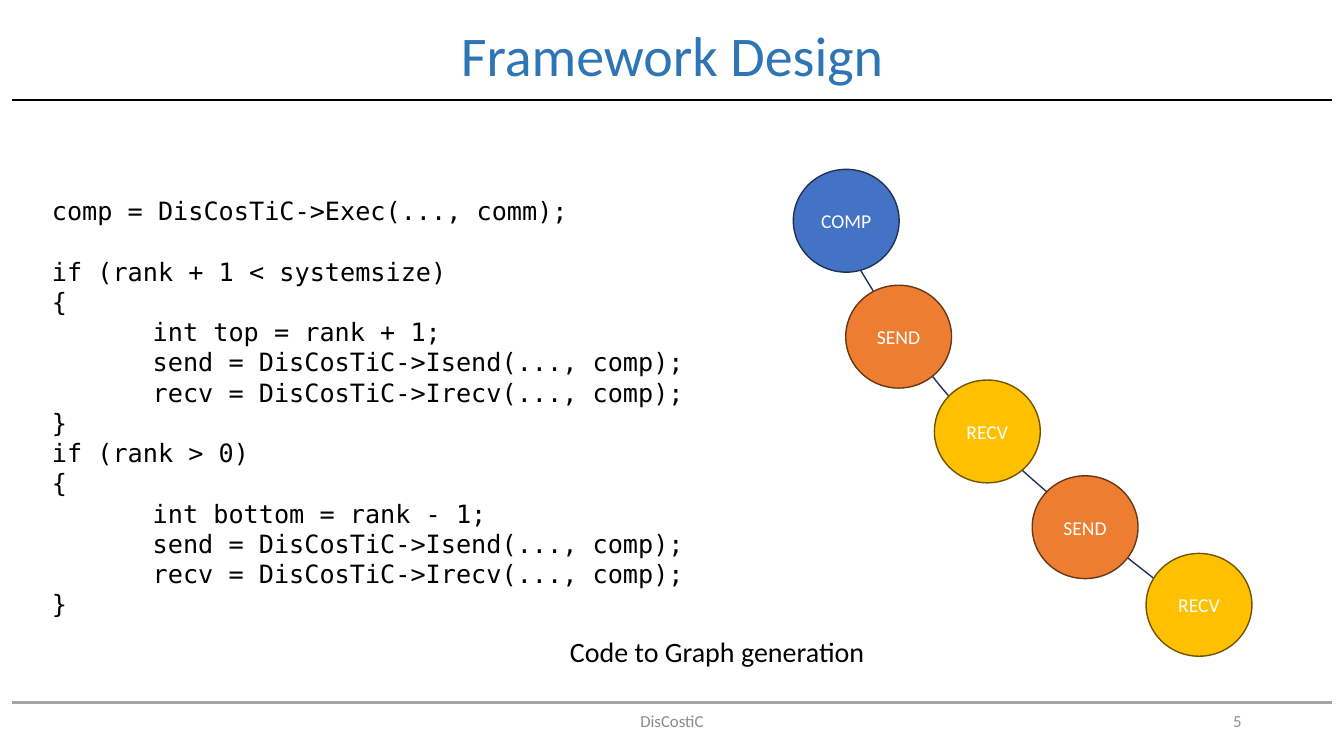
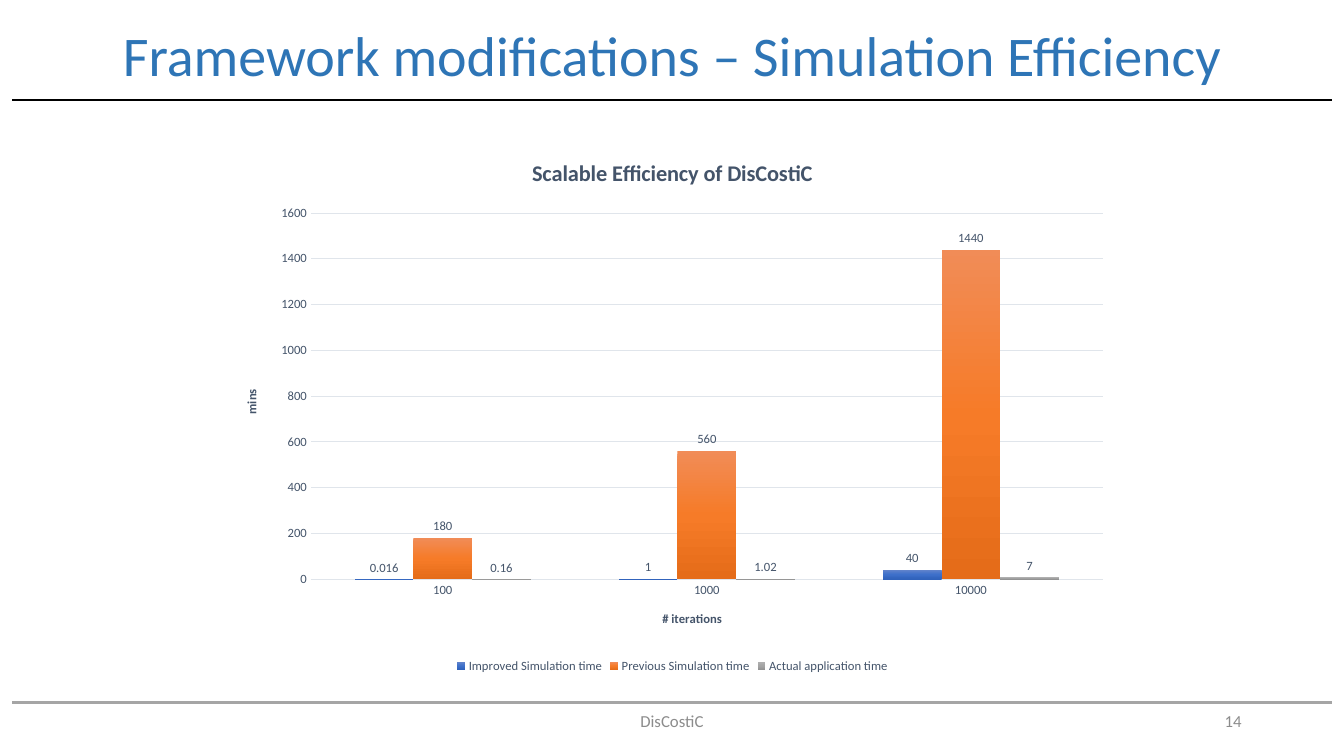
from dataclasses import dataclass
from typing import Any, NamedTuple

from lxml.etree import SubElement
from pptx import Presentation
from pptx.chart.data import CategoryChartData
from pptx.dml.color import RGBColor
from pptx.enum.chart import XL_CHART_TYPE, XL_LABEL_POSITION, XL_LEGEND_POSITION, XL_TICK_MARK
from pptx.enum.shapes import MSO_CONNECTOR, MSO_SHAPE
from pptx.enum.text import MSO_ANCHOR, MSO_AUTO_SIZE, PP_ALIGN
from pptx.oxml import parse_xml
from pptx.oxml.ns import nsdecls, qn
from pptx.util import Inches, Pt


@dataclass(frozen=True)
class Theme:
    sans: str = "Calibri"
    mono: str = "DejaVu Sans Mono"
    blue: str = "2E75B6"
    black: str = "000000"
    white: str = "FFFFFF"
    gray: str = "8C8C8C"
    rule: str = "A5A5A5"
    slate: str = "44546A"
    grid: str = "E0E5EB"
    navy: str = "1E3256"
    head: float = 40
    text: float = 20
    code: float = 18
    lead: float = 21.6
    chart: float = 16
    node: float = 14
    foot: float = 12
    tick: float = 9


class Box(NamedTuple):
    col: float
    row: float
    cols: float
    rows: float

    def emu(self) -> list[int]:
        return [unit(v) for v in self]


class Kind(NamedTuple):
    name: str
    fill: str
    edge: str


class Node(NamedTuple):
    kind: Kind
    col: float
    row: float


class Bars(NamedTuple):
    name: str
    nums: tuple[float, ...]
    stops: tuple[str, str, str]


T = Theme()
COLS, ROWS = 160, 90
CELL = 1 / 12

HEAD = Box(0, 0, COLS, 13.8)
FOOT = Box(53, 83.4, 54, 4.8)
PAGE = Box(113, 83.4, 36, 4.8)
CODE = Box(5, 22.68, 83.64, 52.08)
NOTE = Box(43.56, 75.36, 83.64, 4.92)
CHART = Box(26.64, 16.44, 106.8, 64.2)
EDGE = 1.44
RULES = ((83.64, T.rule), (11.88, T.black))

COMP = Kind("COMP", "4472C4", T.navy)
SEND = Kind("SEND", "ED7D31", "683715")
RECV = Kind("RECV", "FFC000", "705400")
NODES = (
    Node(COMP, 94.44, 20.16),
    Node(SEND, 100.68, 33.96),
    Node(RECV, 111.24, 45.24),
    Node(SEND, 122.88, 56.64),
    Node(RECV, 136.44, 65.88),
)
WIDE, HIGH = 12.6, 12.24
CURVE = (
    ((99.84, 27.72), (104.04, 34.92), (108.24, 42.12), (114.96, 49.44)),
    ((114.96, 49.44), (121.68, 56.64), (130.92, 63.84), (140.16, 71.04)),
)
STEPS = 12

LINES = """comp = DisCosTiC->Exec(..., comm);

if (rank + 1 < systemsize)
{
\tint top = rank + 1;
\tsend = DisCosTiC->Isend(..., comp);
\trecv = DisCosTiC->Irecv(..., comp);
}
if (rank > 0)
{
\tint bottom = rank - 1;
\tsend = DisCosTiC->Isend(..., comp);
\trecv = DisCosTiC->Irecv(..., comp);
}"""

RUNS = ("100", "1000", "10000")
TIMES = (
    Bars("Improved Simulation time", (0.016, 1, 40), ("6183CB", "3E70CA", "3062BB")),
    Bars("Previous Simulation time", (180, 560, 1440), ("F18C57", "F67B28", "E56C19")),
    Bars("Actual application time", (0.16, 1.02, 7), ("AFAFAF", "A5A5A5", "939393")),
)
PLOT = {"x": 0.097, "y": 0.139, "w": 0.883, "h": 0.679}


def unit(cells: float) -> int:
    return Inches(cells * CELL)


def put(item: Any, vals: dict[str, Any]) -> None:
    for key, val in vals.items():
        setattr(item, key, val)


def ink(font: Any, size: float, tone: str, face: str = T.sans, bold: bool = False) -> None:
    put(font, {"size": Pt(size), "name": face, "bold": bold})
    font.color.rgb = RGBColor.from_string(tone)


def stroke(line: Any, tone: str, width: float) -> None:
    line.color.rgb = RGBColor.from_string(tone)
    line.width = Pt(width)


def write(shape: Any, text: str, size: float, tone: str,
          align: PP_ALIGN = PP_ALIGN.CENTER, space: float = 1.0) -> None:
    frame = shape.text_frame
    put(frame, {"word_wrap": True, "auto_size": MSO_AUTO_SIZE.NONE,
                "vertical_anchor": MSO_ANCHOR.MIDDLE})
    para = frame.paragraphs[0]
    put(para, {"text": text, "alignment": align, "line_spacing": space})
    ink(para.runs[0].font, size, tone)


def begin(deck: Any, title: str, page: int) -> Any:
    slide = deck.slides.add_slide(deck.slide_layouts[5])
    head = slide.shapes.title
    put(head, dict(zip(("left", "top", "width", "height"), HEAD.emu())))
    write(head, title, T.head, T.blue, space=0.9)
    for box, text, align in ((FOOT, "DisCostiC", PP_ALIGN.CENTER),
                             (PAGE, str(page), PP_ALIGN.RIGHT)):
        write(slide.shapes.add_textbox(*box.emu()), text, T.foot, T.gray, align)
    for row, tone in RULES:
        ends = [unit(v) for v in (EDGE, row, COLS - EDGE, row)]
        rule = slide.shapes.add_connector(MSO_CONNECTOR.STRAIGHT, *ends)
        stroke(rule.line, tone, 1.5)
        SubElement(rule._element.spPr, qn("a:effectLst"))
    return slide


def list_code(slide: Any) -> None:
    frame = slide.shapes.add_textbox(*CODE.emu()).text_frame
    frame.word_wrap = True
    fresh, gap = True, 0.0
    for text in LINES.split("\n"):
        if not text:
            gap = T.lead
            continue
        para = frame.paragraphs[0] if fresh else frame.add_paragraph()
        tabs = SubElement(para._p.get_or_add_pPr(), qn("a:tabLst"))
        SubElement(tabs, qn("a:tab"), pos=str(Inches(1)), algn="l")
        put(para, {"line_spacing": Pt(T.lead), "space_before": Pt(gap)})
        run = para.add_run()
        run.text = text
        ink(run.font, T.code, T.black, T.mono)
        fresh, gap = False, 0.0


def bend(ends: tuple, t: float) -> tuple[int, int]:
    mix = ((1 - t) ** 3, 3 * t * (1 - t) ** 2, 3 * t * t * (1 - t), t ** 3)
    col, row = (sum(m * p[k] for m, p in zip(mix, ends)) for k in (0, 1))
    return unit(col), unit(row)


def draw_graph(slide: Any) -> None:
    dots = [bend(part, k / STEPS) for part in CURVE for k in range(STEPS + 1)]
    pen = slide.shapes.build_freeform(*dots[0])
    pen.add_line_segments(dots[1:], close=False)
    curve = pen.convert_to_shape()
    curve.shadow.inherit = False
    curve.fill.background()
    stroke(curve.line, T.navy, 1)
    for kind, col, row in NODES:
        disc = slide.shapes.add_shape(MSO_SHAPE.OVAL, *Box(col, row, WIDE, HIGH).emu())
        disc.shadow.inherit = False
        disc.fill.solid()
        disc.fill.fore_color.rgb = RGBColor.from_string(kind.fill)
        stroke(disc.line, kind.edge, 1)
        sides = ("left", "right", "top", "bottom")
        put(disc.text_frame, {f"margin_{side}": 0 for side in sides})
        write(disc, kind.name, T.node, T.white)


def name_part(part: Any, text: str, size: float) -> None:
    frame = (part.chart_title if hasattr(part, "chart_title") else part.axis_title).text_frame
    frame.text = text
    ink(frame.paragraphs[0].runs[0].font, size, T.slate, bold=True)


def shade(fill: Any, stops: tuple[str, str, str]) -> None:
    fill.gradient()
    fill.gradient_angle = 270
    band = fill._xPr.find(qn("a:gradFill")).find(qn("a:gsLst"))
    for old in list(band):
        band.remove(old)
    for k, tone in enumerate(stops):
        stop = SubElement(band, qn("a:gs"), pos=str(k * 50000))
        SubElement(stop, qn("a:srgbClr"), val=tone)


def draw_chart(slide: Any) -> None:
    data = CategoryChartData()
    data.categories = RUNS
    for bars in TIMES:
        data.add_series(bars.name, bars.nums)
    chart = slide.shapes.add_chart(XL_CHART_TYPE.COLUMN_CLUSTERED, *CHART.emu(), data).chart
    ink(chart.font, T.tick, T.slate)
    name_part(chart, "Scalable Efficiency of DisCostiC", T.chart)
    put(chart, {"has_legend": True})
    put(chart.legend, {"position": XL_LEGEND_POSITION.BOTTOM, "include_in_layout": False})
    ink(chart.legend.font, T.tick, T.slate)
    for axis, text in ((chart.category_axis, "# iterations"), (chart.value_axis, "mins")):
        put(axis, {"major_tick_mark": XL_TICK_MARK.NONE, "minor_tick_mark": XL_TICK_MARK.NONE})
        ink(axis.tick_labels.font, T.tick, T.slate)
        name_part(axis, text, T.tick)
    stroke(chart.category_axis.format.line, T.grid, 0.75)
    scale = chart.value_axis
    put(scale, {"minimum_scale": 0, "maximum_scale": 1600, "major_unit": 200})
    scale.format.line.fill.background()
    stroke(scale.major_gridlines.format.line, T.grid, 0.75)
    plot = chart.plots[0]
    put(plot, {"gap_width": 150, "overlap": 0, "vary_by_categories": False})
    for bars, row in zip(TIMES, plot.series):
        shade(row.format.fill, bars.stops)
        tags = row.data_labels
        put(tags, {"show_value": True, "position": XL_LABEL_POSITION.OUTSIDE_END})
        ink(tags.font, T.tick, T.slate)
    area = chart._chartSpace.chart.plotArea
    for old in area.findall(qn("c:layout")):
        area.remove(old)
    sizes = "".join(f'<c:{key} val="{val}"/>' for key, val in PLOT.items())
    area.insert(0, parse_xml(
        f'<c:layout {nsdecls("c")}><c:manualLayout><c:layoutTarget val="inner"/>'
        f'<c:xMode val="edge"/><c:yMode val="edge"/>{sizes}</c:manualLayout></c:layout>'))


def main() -> None:
    deck = Presentation()
    put(deck, {"slide_width": unit(COLS), "slide_height": unit(ROWS)})
    design = begin(deck, "Framework Design", 5)
    list_code(design)
    draw_graph(design)
    note = design.shapes.add_textbox(*NOTE.emu())
    write(note, "Code to Graph generation", T.text, T.black, space=0.9)
    draw_chart(begin(deck, "Framework modifications – Simulation Efficiency", 14))
    deck.save("out.pptx")


if __name__ == "__main__":
    main()
